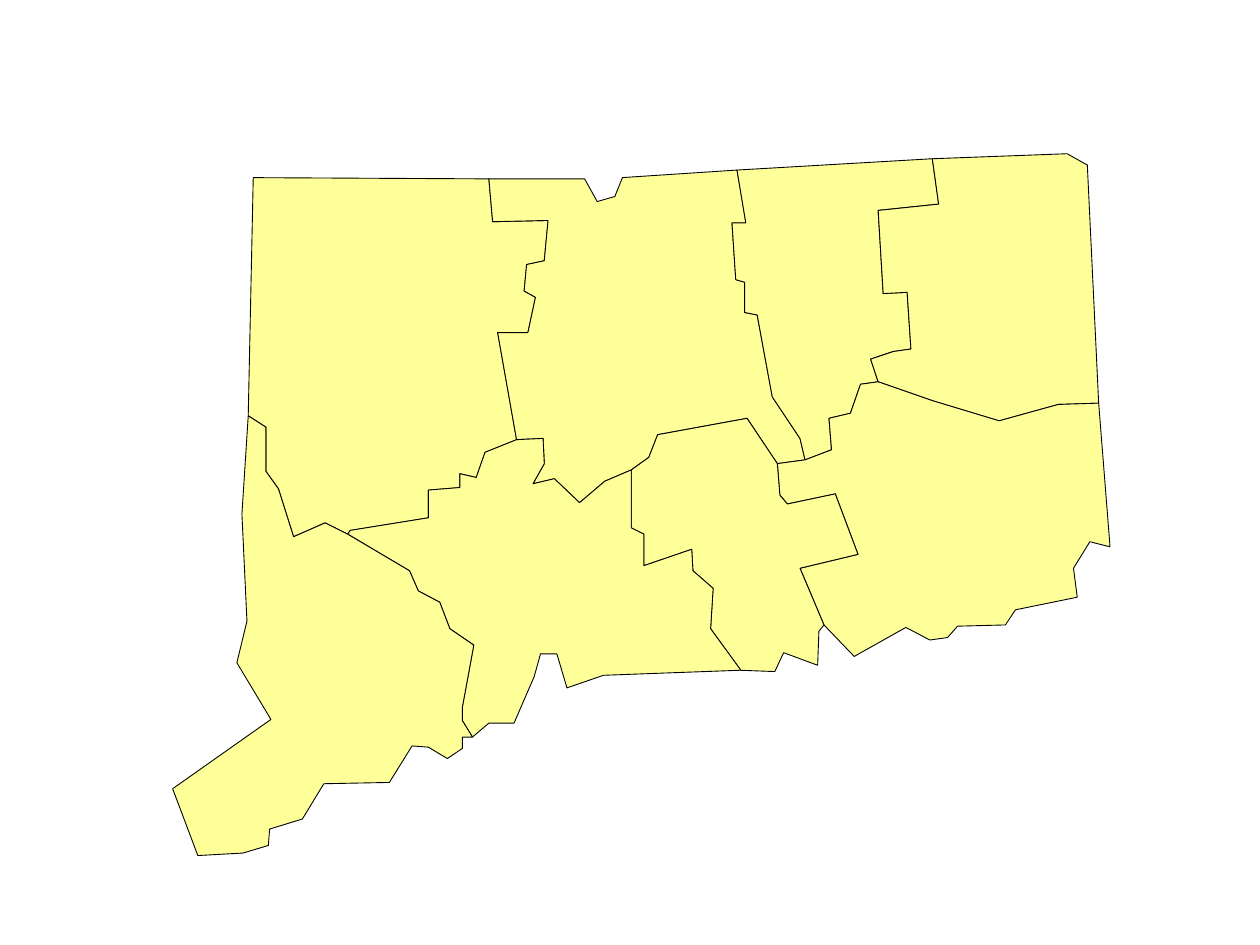
from pptx import Presentation
from pptx.dml.color import RGBColor
from pptx.util import Inches, Pt

LITCHFIELD_HARTFORD_NORTH = (3.88, 1.42)
HARTFORD_TOLLAND_NORTH = (5.85, 1.35)
TOLLAND_WINDHAM_NORTH = (7.4, 1.26)
WINDHAM_LONDON_EAST = (8.72, 3.2)
LONDON_MIDDLESEX_COAST = (6.54, 4.96)
MIDDLESEX_HAVEN_COAST = (5.88, 5.32)
HAVEN_FAIRFIELD_COAST = (3.75, 5.85)
LITCHFIELD_FAIRFIELD_WEST = (1.97, 3.3)
LITCHFIELD_HAVEN_FAIRFIELD = (2.76, 4.24)
LITCHFIELD_HARTFORD_HAVEN = (4.1, 3.49)
HARTFORD_MIDDLESEX_HAVEN = (5.01, 3.73)
HARTFORD_LONDON_MIDDLESEX = (6.17, 3.68)
HARTFORD_TOLLAND_LONDON = (6.39, 3.65)
TOLLAND_WINDHAM_LONDON = (6.97, 3.03)

BORDERS = {
    "litchfield_edge": [LITCHFIELD_FAIRFIELD_WEST, (2.01, 1.41), LITCHFIELD_HARTFORD_NORTH],
    "hartford_edge": [LITCHFIELD_HARTFORD_NORTH, (4.64, 1.42), (4.74, 1.6), (4.88, 1.56),
                      (4.94, 1.41), HARTFORD_TOLLAND_NORTH],
    "tolland_edge": [HARTFORD_TOLLAND_NORTH, TOLLAND_WINDHAM_NORTH],
    "windham_edge": [TOLLAND_WINDHAM_NORTH, (8.47, 1.22), (8.63, 1.31), WINDHAM_LONDON_EAST],
    "london_coast": [WINDHAM_LONDON_EAST, (8.81, 4.34), (8.65, 4.3), (8.52, 4.51), (8.55, 4.74),
                     (8.06, 4.84), (7.98, 4.96), (7.6, 4.97), (7.52, 5.06), (7.38, 5.08),
                     (7.19, 4.98), (6.78, 5.21), LONDON_MIDDLESEX_COAST],
    "middlesex_coast": [LONDON_MIDDLESEX_COAST, (6.5, 5.01), (6.49, 5.28), (6.22, 5.18),
                        (6.15, 5.33), MIDDLESEX_HAVEN_COAST],
    "haven_coast": [MIDDLESEX_HAVEN_COAST, (4.79, 5.36), (4.5, 5.46), (4.42, 5.19),
                    (4.29, 5.19), (4.24, 5.37), (4.08, 5.74), (3.88, 5.74),
                    HAVEN_FAIRFIELD_COAST],
    "fairfield_coast": [HAVEN_FAIRFIELD_COAST, (3.67, 5.85), (3.67, 5.94), (3.55, 6.02),
                        (3.4, 5.93), (3.27, 5.92), (3.09, 6.21), (2.57, 6.22), (2.4, 6.5),
                        (2.14, 6.58), (2.13, 6.71), (1.93, 6.77), (1.57, 6.79), (1.37, 6.26),
                        (2.15, 5.71), (1.88, 5.26), (1.96, 4.93), (1.92, 4.08),
                        LITCHFIELD_FAIRFIELD_WEST],
    "litchfield_hartford": [LITCHFIELD_HARTFORD_NORTH, (3.91, 1.76), (4.35, 1.75), (4.32, 2.07),
                            (4.18, 2.1), (4.16, 2.31), (4.25, 2.36), (4.19, 2.64), (3.95, 2.64),
                            LITCHFIELD_HARTFORD_HAVEN],
    "litchfield_haven": [LITCHFIELD_HARTFORD_HAVEN, (3.85, 3.59), (3.78, 3.79), (3.65, 3.76),
                         (3.65, 3.87), (3.4, 3.89), (3.4, 4.11), (2.78, 4.21),
                         LITCHFIELD_HAVEN_FAIRFIELD],
    "litchfield_fairfield": [LITCHFIELD_HAVEN_FAIRFIELD, (2.58, 4.15), (2.33, 4.26),
                             (2.21, 3.88), (2.11, 3.74), (2.11, 3.39),
                             LITCHFIELD_FAIRFIELD_WEST],
    "hartford_tolland": [HARTFORD_TOLLAND_NORTH, (5.92, 1.77), (5.81, 1.77), (5.84, 2.22),
                         (5.91, 2.24), (5.91, 2.48), (6.01, 2.5), (6.13, 3.15), (6.35, 3.48),
                         HARTFORD_TOLLAND_LONDON],
    "hartford_london": [HARTFORD_TOLLAND_LONDON, HARTFORD_LONDON_MIDDLESEX],
    "hartford_middlesex": [HARTFORD_LONDON_MIDDLESEX, (5.93, 3.32), (5.22, 3.45), (5.15, 3.63),
                           HARTFORD_MIDDLESEX_HAVEN],
    "hartford_haven": [HARTFORD_MIDDLESEX_HAVEN, (4.8, 3.82), (4.6, 3.99), (4.4, 3.8),
                       (4.23, 3.84), (4.32, 3.68), (4.31, 3.48), LITCHFIELD_HARTFORD_HAVEN],
    "tolland_windham": [TOLLAND_WINDHAM_NORTH, (7.45, 1.62), (6.97, 1.67), (7.01, 2.33),
                        (7.2, 2.32), (7.23, 2.77), (7.09, 2.79), (6.91, 2.85),
                        TOLLAND_WINDHAM_LONDON],
    "tolland_london": [TOLLAND_WINDHAM_LONDON, (6.83, 3.05), (6.75, 3.28), (6.58, 3.32),
                       (6.6, 3.57), HARTFORD_TOLLAND_LONDON],
    "windham_london": [WINDHAM_LONDON_EAST, (8.4, 3.21), (7.93, 3.34), (7.4, 3.18),
                       TOLLAND_WINDHAM_LONDON],
    "london_middlesex": [LONDON_MIDDLESEX_COAST, (6.35, 4.51), (6.81, 4.4), (6.63, 3.92),
                         (6.25, 4), (6.19, 3.93), HARTFORD_LONDON_MIDDLESEX],
    "middlesex_haven": [MIDDLESEX_HAVEN_COAST, (5.64, 4.99), (5.66, 4.67), (5.5, 4.53),
                        (5.49, 4.36), (5.11, 4.49), (5.11, 4.24), (5.01, 4.19),
                        HARTFORD_MIDDLESEX_HAVEN],
    "haven_fairfield": [HAVEN_FAIRFIELD_COAST, (3.67, 5.72), (3.67, 5.61), (3.76, 5.12),
                        (3.57, 4.99), (3.49, 4.78), (3.32, 4.69), (3.25, 4.53),
                        LITCHFIELD_HAVEN_FAIRFIELD],
}

COUNTIES = [
    ["litchfield_edge", "litchfield_hartford", "litchfield_haven", "litchfield_fairfield"],
    ["hartford_edge", "hartford_tolland", "hartford_london", "hartford_middlesex",
     "hartford_haven", "litchfield_hartford"],
    ["tolland_edge", "tolland_windham", "tolland_london", "hartford_tolland"],
    ["windham_edge", "windham_london", "tolland_windham"],
    ["london_coast", "london_middlesex", "hartford_london", "tolland_london", "windham_london"],
    ["middlesex_coast", "middlesex_haven", "hartford_middlesex", "london_middlesex"],
    ["haven_coast", "haven_fairfield", "litchfield_haven", "hartford_haven", "middlesex_haven"],
    ["fairfield_coast", "litchfield_fairfield", "haven_fairfield"],
]


def color(hex_value):
    """Turn a hex string into a colour."""
    return RGBColor.from_string(hex_value)


def join_borders(names):
    """Chain borders end to end into one outline, reversing them where needed."""
    outline = list(BORDERS[names[0]])
    for name in names[1:]:
        border = BORDERS[name]
        if border[0] != outline[-1]:
            border = border[::-1]
        outline += border[1:]
    return outline[:-1]


def add_county(slide, outline, fill, stroke):
    """Draw one county as a closed outline."""
    corners = [(Inches(x), Inches(y)) for x, y in outline]
    builder = slide.shapes.build_freeform(*corners[0])
    builder.add_line_segments(corners[1:], close=True)
    county = builder.convert_to_shape()
    county.shadow.inherit = False
    county.fill.solid()
    county.fill.fore_color.rgb = color(fill)
    county.line.color.rgb = color(stroke)
    county.line.width = Pt(0.5)


def main():
    """Build the county map slide."""
    deck = Presentation()
    deck.slide_width, deck.slide_height = Inches(10), Inches(7.5)
    slide = deck.slides.add_slide(deck.slide_layouts[6])
    for names in COUNTIES:
        add_county(slide, join_borders(names), "FFFF99", "000000")
    deck.save("out.pptx")


if __name__ == "__main__":
    main()
